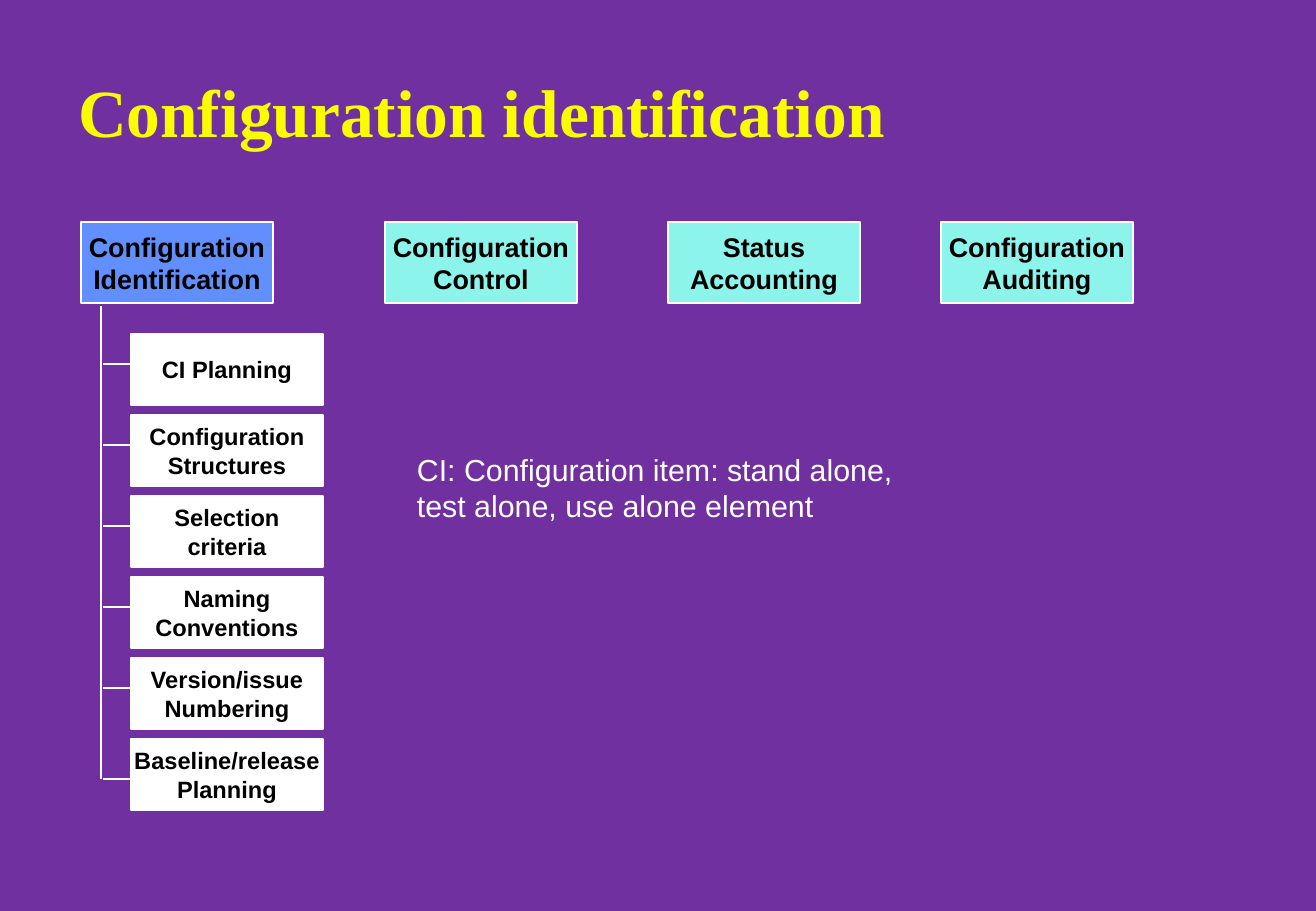
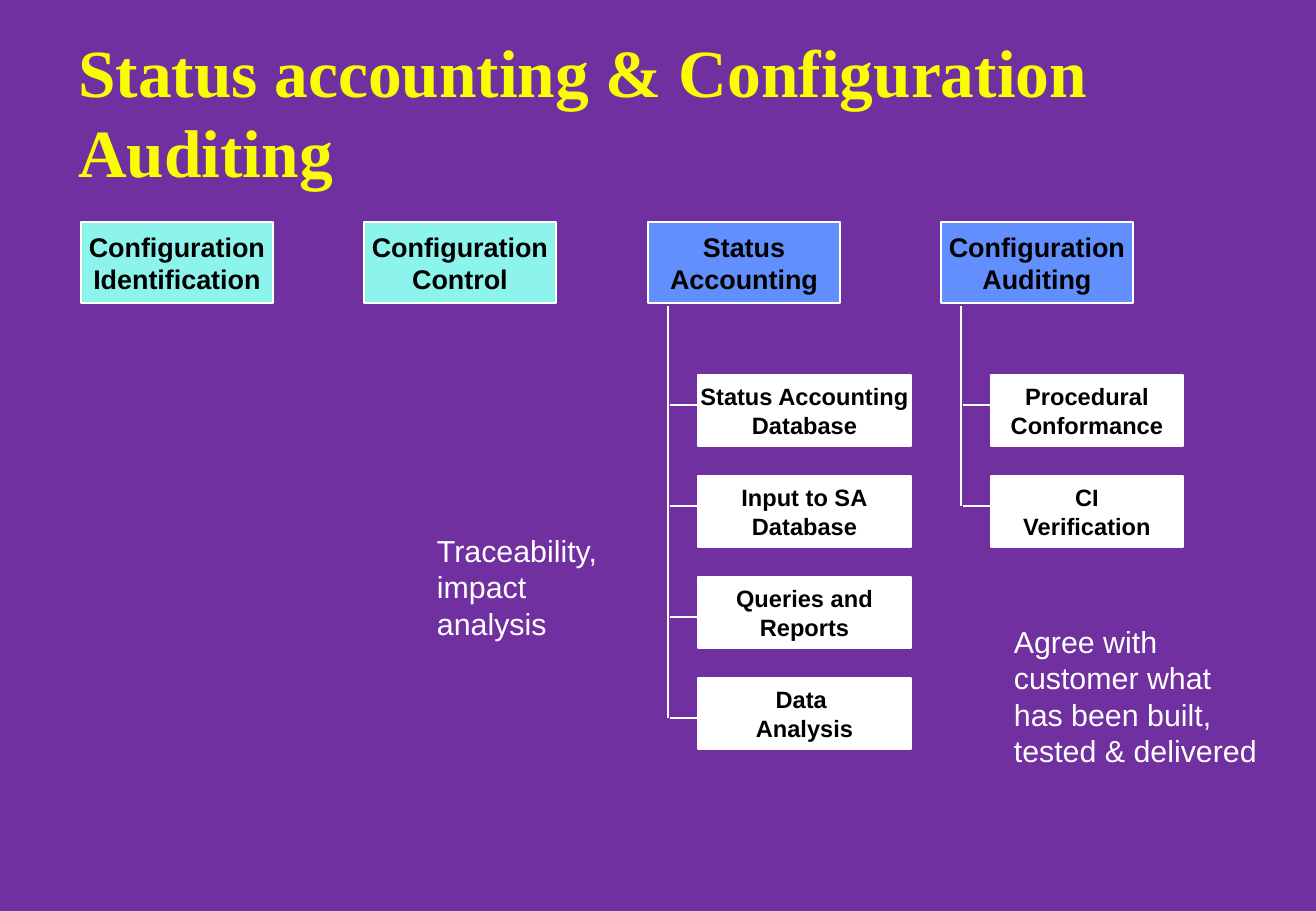
"""Builds two slides on the parts of configuration management."""
from lxml import etree
from pptx import Presentation
from pptx import util as u
from pptx.dml.color import RGBColor
from pptx.enum import shapes, text
from pptx.oxml.ns import qn

SCALE = 914400 / 121.4
SLIDE_SIZE = (1316, 911)
PURPLE, YELLOW, WHITE, BLACK = "7030A0", "FAFD00", "FFFFFF", "000000"
BLUE, AQUA = "618FFD", "8CF4EA"

TITLE_FONT = {"name": "Times New Roman", "size": u.Pt(40), "bold": True}
HEADER_FONT = {"name": "Arial", "size": u.Pt(16), "bold": True}
ITEM_FONT = {"name": "Arial", "size": u.Pt(14), "bold": True}
NOTE_FONT = {"name": "Arial", "size": u.Pt(18), "bold": False}

HEADERS = ["Configuration\nIdentification", "Configuration\nControl",
           "Status\nAccounting", "Configuration\nAuditing"]
HEADER_TOP, HEADER_WIDTH, HEADER_HEIGHT = 222, 192, 81
STEM_TOP, STEM_INDENT, ITEM_INDENT = 306, 20, 30
ITEM_HEIGHT = 71


def px(*lengths):
    """Turn pixel lengths into a list of EMU."""
    return [u.Emu(round(length * SCALE)) for length in lengths]


def paint(color_format, color):
    """Set a fill's or font's colour from a hex string."""
    color_format.rgb = RGBColor.from_string(color)


def set_values(target, values):
    """Set attributes from a dict of format values."""
    for name, value in values.items():
        setattr(target, name, value)


def write(shape, words, font, color, align, frame_values):
    """Write one paragraph per line of words."""
    frame = shape.text_frame
    frame.text = words
    set_values(frame, frame_values)
    for paragraph in frame.paragraphs:
        paragraph.alignment = align
        set_values(paragraph.font, font)
        paint(paragraph.font.color, color)


def add_box(parent, place, words, font, fill):
    """Add an outlined rectangle with centred words."""
    shape = parent.add_shape(shapes.MSO_SHAPE.RECTANGLE, *px(*place))
    shape.shadow.inherit = False
    shape.fill.solid()
    paint(shape.fill.fore_color, fill)
    shape.line.width = u.Pt(1)
    paint(shape.line.color, WHITE)
    write(shape, words, font, BLACK, text.PP_ALIGN.CENTER,
          {"word_wrap": False, "vertical_anchor": text.MSO_ANCHOR.MIDDLE})


def add_line(parent, *ends):
    """Add a thin white line between two points."""
    line = parent.add_connector(shapes.MSO_CONNECTOR.STRAIGHT, *px(*ends))
    line.line.width = u.Pt(1)
    paint(line.line.color, WHITE)
    etree.SubElement(line._element.spPr, qn("a:effectLst"))


def add_note(parent, place, words):
    """Add a free white remark."""
    box = parent.add_textbox(*px(*place))
    write(box, words, NOTE_FONT, WHITE, text.PP_ALIGN.LEFT,
          {"word_wrap": False,
           "auto_size": text.MSO_AUTO_SIZE.SHAPE_TO_FIT_TEXT})


def add_branch(slide, header_left, top, step, width, items, note_place, note):
    """Add a grouped stem with its items, given as words and tick offset."""
    parent = slide.shapes.add_group_shape().shapes
    stem = header_left + STEM_INDENT
    for index, (words, tick_offset) in enumerate(items):
        item_top = top + index * step
        tick = item_top + tick_offset
        add_box(parent, (stem + ITEM_INDENT, item_top, width, ITEM_HEIGHT),
                words, ITEM_FONT, WHITE)
        add_line(parent, stem + 2, tick, stem + ITEM_INDENT - 1, tick)
    add_line(parent, stem, STEM_TOP, stem, tick)
    add_note(parent, note_place, note)


def add_slide(presentation, title, header_lefts, active):
    """Add a titled slide with the header row; active headers are blue."""
    slide = presentation.slides.add_slide(presentation.slide_layouts[5])
    heading = slide.shapes.title
    set_values(heading, dict(zip(("left", "top", "width", "height"),
                                 px(66, 70, 1118, 81))))
    write(heading, title, TITLE_FONT, YELLOW, text.PP_ALIGN.LEFT,
          {"word_wrap": True, "auto_size": text.MSO_AUTO_SIZE.NONE,
           "vertical_anchor": text.MSO_ANCHOR.MIDDLE})
    for index, (left, words) in enumerate(zip(header_lefts, HEADERS)):
        add_box(slide.shapes, (left, HEADER_TOP, HEADER_WIDTH, HEADER_HEIGHT),
                words, HEADER_FONT, BLUE if index in active else AQUA)
    return slide


def add_identification(presentation):
    """Add the slide on configuration identification."""
    lefts = [81, 385, 668, 941]
    slide = add_slide(presentation, "Configuration identification", lefts, {0})
    items = [("CI Planning", 30), ("Configuration\nStructures", 30),
             ("Selection\ncriteria", 30), ("Naming\nConventions", 30),
             ("Version/issue\nNumbering", 30),
             ("Baseline/release\nPlanning", 40)]
    add_branch(slide, lefts[0], 334, 81, 192, items, (405, 445, 509, 85),
               "CI: Configuration item: stand alone, \n"
               "test alone, use alone element")


def add_accounting_and_auditing(presentation):
    """Add the slide on status accounting and auditing."""
    lefts = [81, 364, 648, 941]
    slide = add_slide(presentation,
                      "Status accounting & Configuration Auditing",
                      lefts, {2, 3})
    accounting = [("Status Accounting\nDatabase", 30),
                  ("Input to SA\nDatabase", 30),
                  ("Queries and\nReports", 40), ("Data \nAnalysis", 40)]
    auditing = [("Procedural\nConformance", 30), ("CI\nVerification", 30)]
    add_branch(slide, lefts[2], 375, 101, 213, accounting,
               (425, 526, 188, 121), "Traceability,\nimpact\nanalysis")
    add_branch(slide, lefts[3], 375, 101, 192, auditing,
               (1002, 617, 267, 158),
               "Agree with\ncustomer what\nhas been built,\n"
               "tested & delivered")


def main():
    """Build and save the presentation."""
    presentation = Presentation()
    presentation.slide_width, presentation.slide_height = px(*SLIDE_SIZE)
    background = presentation.slide_master.background.fill
    background.solid()
    paint(background.fore_color, PURPLE)
    add_identification(presentation)
    add_accounting_and_auditing(presentation)
    presentation.save("out.pptx")


main()
